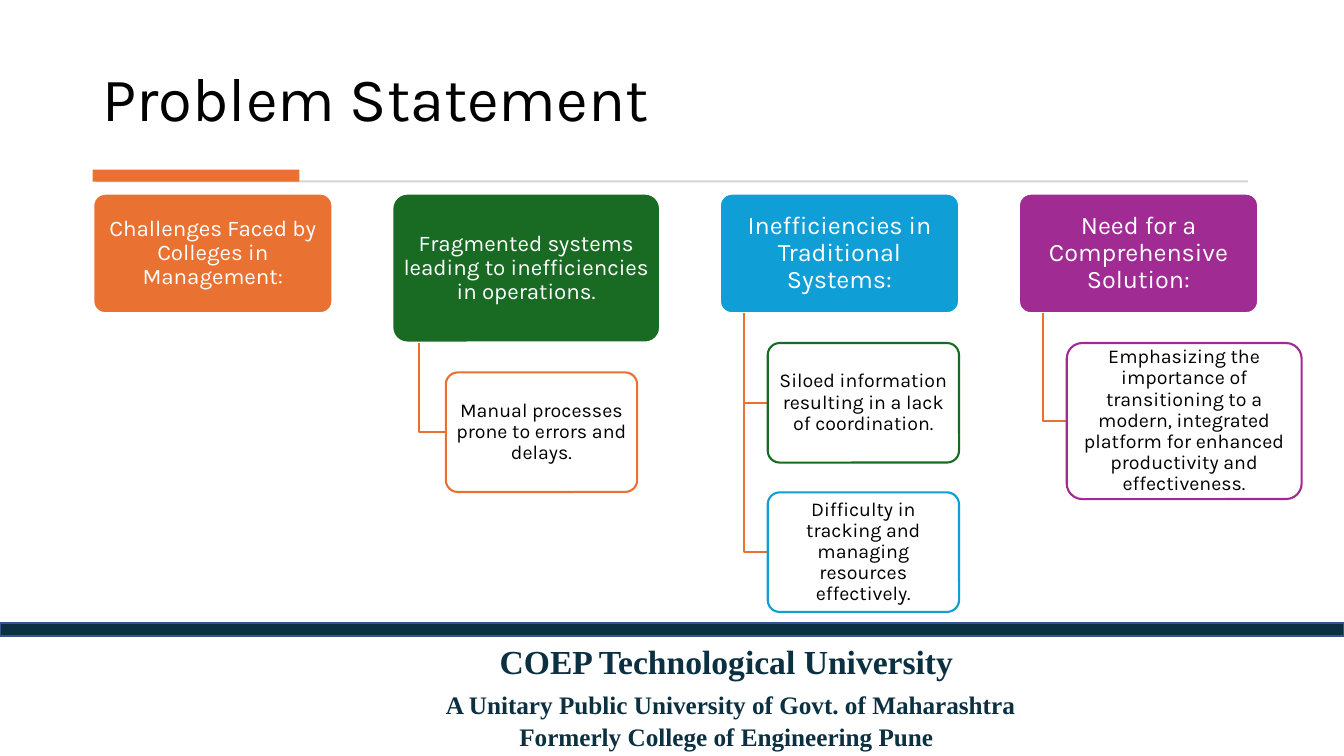
"""Build the Problem Statement slide with four topic columns and a university footer."""
from pptx import Presentation
from pptx.dml.color import RGBColor
from pptx.enum.shapes import MSO_SHAPE
from pptx.enum.text import MSO_ANCHOR, PP_ALIGN
from pptx.util import Pt

WHITE = RGBColor(0xFF, 0xFF, 0xFF)
BLACK = RGBColor(0x00, 0x00, 0x00)
ORANGE = RGBColor(0xE9, 0x71, 0x32)
GREEN = RGBColor(0x19, 0x6B, 0x24)
BLUE = RGBColor(0x0F, 0x9E, 0xD5)
PURPLE = RGBColor(0xA0, 0x2B, 0x93)
GRAY = RGBColor(0xD5, 0xD5, 0xD5)
NAVY = RGBColor(0x0B, 0x30, 0x41)
NAVY_EDGE = RGBColor(0x32, 0x54, 0x90)

TITLE = "Problem Statement"
SMALL_BOX = (136.7, 85.4)
COLUMNS = [
    {"text": "Challenges Faced by Colleges in Management:", "color": ORANGE,
     "size": (170.9, 85.4), "font_size": 16, "children": []},
    {"text": "Fragmented systems leading to inefficiencies in operations.", "color": GREEN,
     "size": (191.3, 106.4), "font_size": 16, "children": [
         ("Manual processes prone to errors and delays.", ORANGE, SMALL_BOX)]},
    {"text": "Inefficiencies in Traditional Systems:", "color": BLUE,
     "size": (170.9, 85.4), "font_size": 18, "children": [
         ("Siloed information resulting in a lack of coordination.", GREEN, SMALL_BOX),
         ("Difficulty in tracking and managing resources effectively.", BLUE, SMALL_BOX)]},
    {"text": "Need for a Comprehensive Solution:", "color": PURPLE,
     "size": (170.9, 85.4), "font_size": 18, "children": [
         ("Emphasizing the importance of transitioning to a modern, integrated platform "
          "for enhanced productivity and effectiveness.", PURPLE, (167.8, 111.5))]},
]
FOOTER = [
    [("COEP Technological University", 24)],
    [(" ", 24), ("A Unitary Public University of Govt. of Maharashtra", 18)],
    [("Formerly College of Engineering Pune", 18)],
]
RULES = [
    ((68.4, 128.9, 823, 1.4), GRAY, None),
    ((66.2, 121.2, 147.6, 8.6), ORANGE, None),
    ((0, 445, 960, 9.4), NAVY, NAVY_EDGE),
]
FIRST_LEFT, FIRST_TOP = 66.6, 138.3
COLUMN_GAP, ROW_GAP = 42.7, 21.3
LINE_WIDTH = 1.5


def set_all(target, values):
    for name, value in values.items():
        setattr(target, name, value)


def add_text(paragraph, text, font, size, color, bold=False):
    run = paragraph.add_run()
    run.text = text
    set_all(run.font, {"name": font, "size": Pt(size), "bold": bold})
    run.font.color.rgb = color


def add_box(slide, kind, place, fill, line):
    shape = slide.shapes.add_shape(kind, *map(Pt, place))
    shape.shadow.inherit = False
    shape.fill.solid()
    shape.fill.fore_color.rgb = fill
    if line is None:
        shape.line.fill.background()
    else:
        shape.line.color.rgb = line
        shape.line.width = Pt(LINE_WIDTH)
    return shape


def add_card(slide, place, text, size, fill, line, color):
    card = add_box(slide, MSO_SHAPE.ROUNDED_RECTANGLE, place, fill, line)
    card.adjustments[0] = 0.1
    side, edge = Pt(size * 0.15), Pt(size * 0.1)
    set_all(card.text_frame, {
        "word_wrap": True, "vertical_anchor": MSO_ANCHOR.MIDDLE,
        "margin_left": side, "margin_right": side, "margin_top": edge, "margin_bottom": edge})
    paragraph = card.text_frame.paragraphs[0]
    set_all(paragraph, {"alignment": PP_ALIGN.CENTER, "line_spacing": 0.9})
    add_text(paragraph, text, "Karla", size, color)


def add_elbow(slide, left, top, right, bottom):
    builder = slide.shapes.build_freeform(Pt(left), Pt(top))
    builder.add_line_segments([(Pt(left), Pt(bottom)), (Pt(right), Pt(bottom))], close=False)
    elbow = builder.convert_to_shape()
    elbow.shadow.inherit = False
    elbow.fill.background()
    elbow.line.color.rgb = ORANGE
    elbow.line.width = Pt(LINE_WIDTH)


def add_columns(slide):
    left = FIRST_LEFT
    for column in COLUMNS:
        width, height = column["size"]
        add_card(slide, (left, FIRST_TOP, width, height), column["text"],
                 column["font_size"], column["color"], WHITE, WHITE)
        stem, child_left = left + width * 0.1, left + width * 0.2
        head_bottom = FIRST_TOP + height
        child_top = head_bottom + ROW_GAP
        for text, color, (child_width, child_height) in column["children"]:
            add_elbow(slide, stem, head_bottom, child_left, child_top + child_height / 2)
            add_card(slide, (child_left, child_top, child_width, child_height),
                     text, 14, WHITE, color, BLACK)
            child_top += child_height + ROW_GAP
        left += width + COLUMN_GAP


def add_title(slide):
    title = slide.shapes.title
    set_all(title, {"left": Pt(66), "top": Pt(20), "width": Pt(827), "height": Pt(80)})
    set_all(title.text_frame, {"vertical_anchor": MSO_ANCHOR.BOTTOM, "word_wrap": True})
    paragraph = title.text_frame.paragraphs[0]
    set_all(paragraph, {"alignment": PP_ALIGN.LEFT, "line_spacing": 0.9})
    add_text(paragraph, TITLE, "Karla", 44, BLACK)


def add_footer(slide):
    footer = slide.shapes.add_textbox(Pt(154.6), Pt(454.3), Pt(728.6), Pt(86))
    frame = footer.text_frame
    frame.word_wrap = True
    for index, runs in enumerate(FOOTER):
        paragraph = frame.add_paragraph() if index else frame.paragraphs[0]
        paragraph.alignment = PP_ALIGN.CENTER
        for text, size in runs:
            add_text(paragraph, text, "Times New Roman", size, NAVY, True)


def main():
    presentation = Presentation()
    set_all(presentation, {"slide_width": Pt(960), "slide_height": Pt(540)})
    slide = presentation.slides.add_slide(presentation.slide_layouts[5])
    add_title(slide)
    for place, fill, line in RULES:
        add_box(slide, MSO_SHAPE.RECTANGLE, place, fill, line)
    add_columns(slide)
    add_footer(slide)
    presentation.save("out.pptx")


if __name__ == "__main__":
    main()
